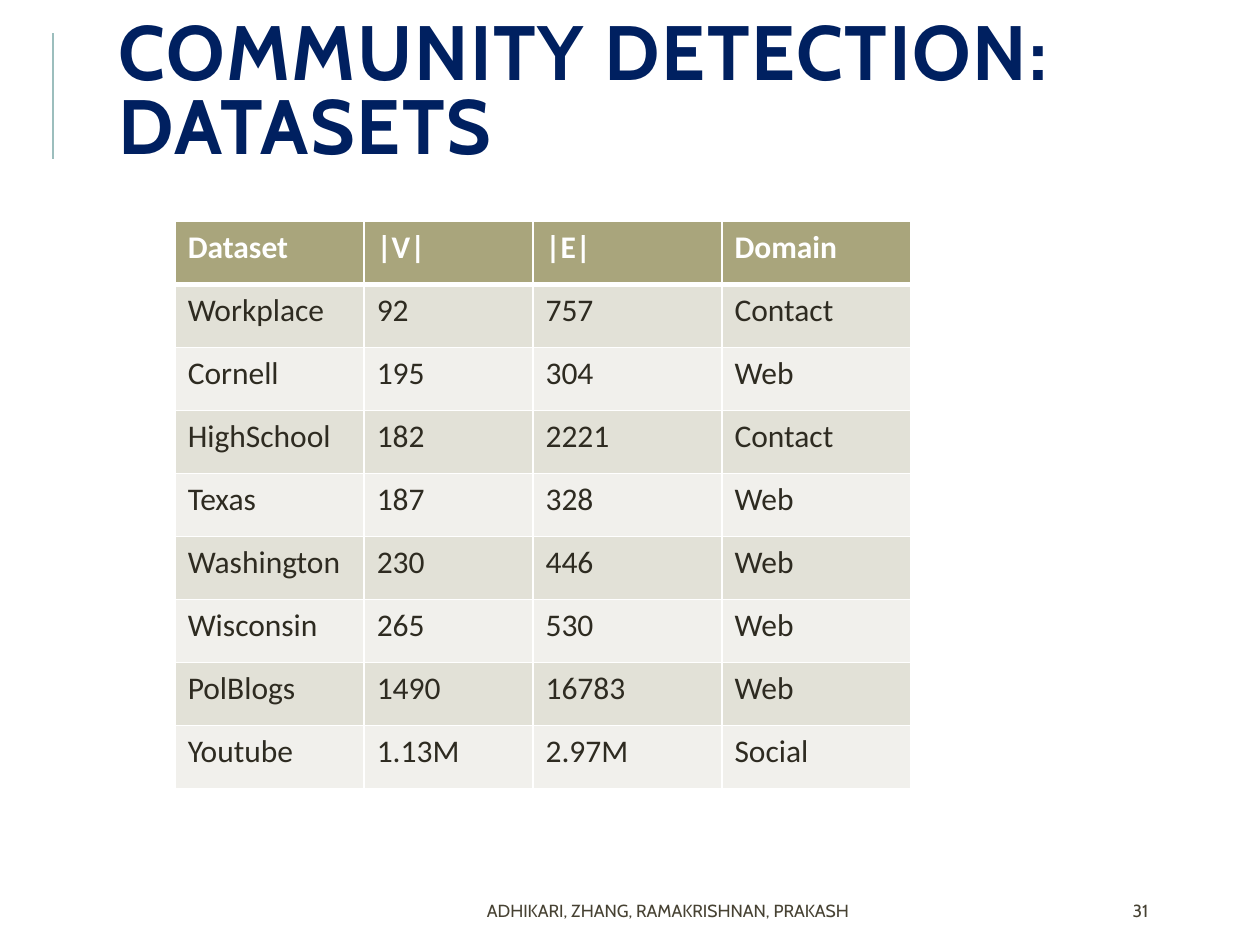
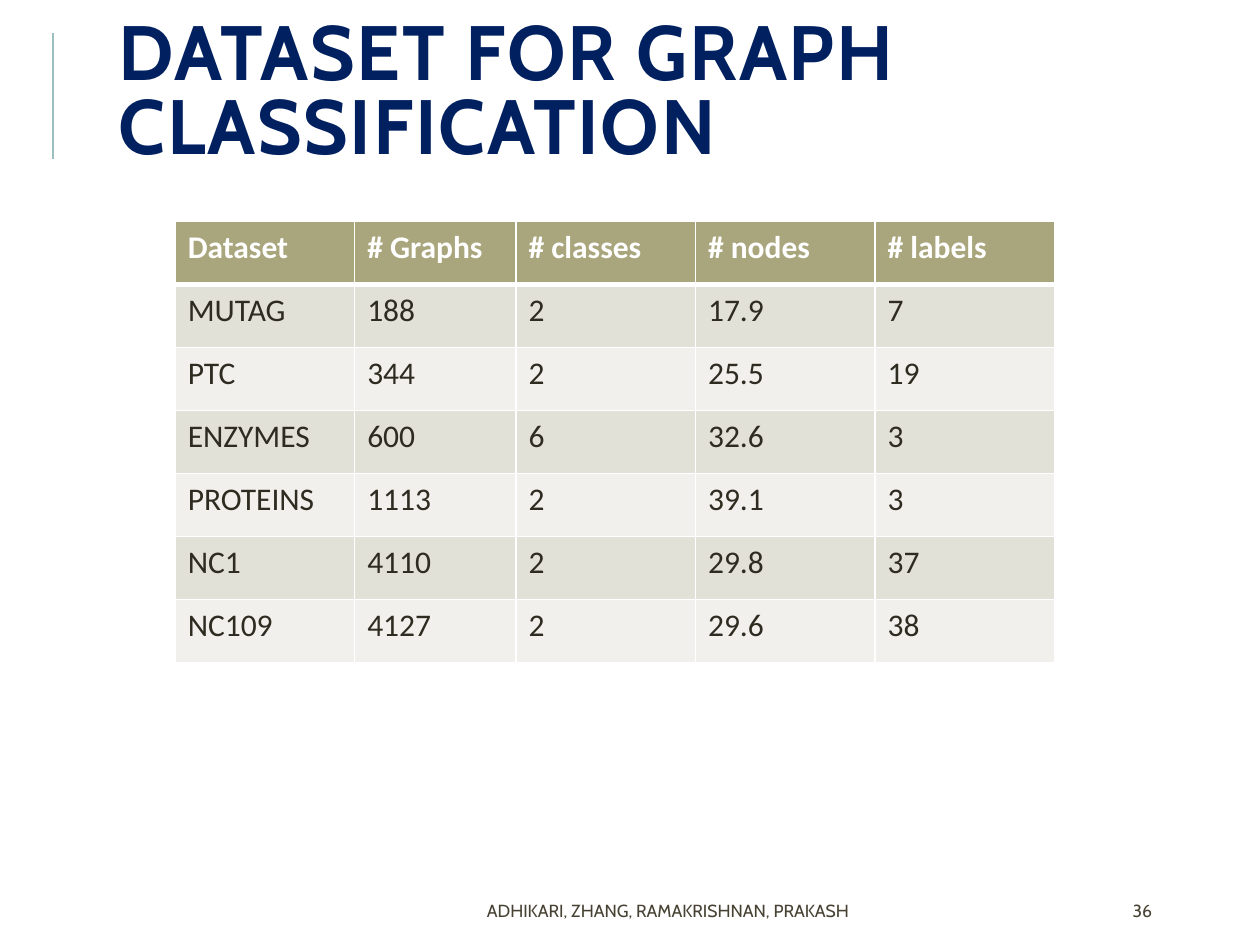
from lxml.etree import SubElement
from pptx import Presentation
from pptx.dml.color import RGBColor
from pptx.enum.shapes import MSO_CONNECTOR
from pptx.enum.text import MSO_ANCHOR, MSO_AUTO_SIZE, PP_ALIGN
from pptx.oxml.ns import qn
from pptx.util import Inches, Pt

NAVY, TEAL, WHITE = "002060", "9CBEBD", "FFFFFF"
FOOTER_BROWN, CELL_TEXT = "474233", "2E2B21"
HEADER_FILL, BAND_FILLS = "A9A57C", ("F1F0EC", "E2E1D7")
TITLE_FONT, TABLE_FONT = "Cabin", "Calibri"
FOOTER = "ADHIKARI, ZHANG, RAMAKRISHNAN, PRAKASH"

# Each entry: title, slide number, first/other column widths in grid columns, table rows.
SLIDES = [
    ("COMMUNITY DETECTION: DATASETS", "31", [15, 13.4, 15, 15], [
        ("Dataset", "|V|", "|E|", "Domain"),
        ("Workplace", "92", "757", "Contact"),
        ("Cornell", "195", "304", "Web"),
        ("HighSchool", "182", "2221", "Contact"),
        ("Texas", "187", "328", "Web"),
        ("Washington", "230", "446", "Web"),
        ("Wisconsin", "265", "530", "Web"),
        ("PolBlogs", "1490", "16783", "Web"),
        ("Youtube", "1.13M", "2.97M", "Social"),
    ]),
    ("DATASET FOR GRAPH CLASSIFICATION", "36", [14.25, 12.8, 14.25, 14.25, 14.25], [
        ("Dataset", "# Graphs", "# classes", "# nodes", "# labels"),
        ("MUTAG", "188", "2", "17.9", "7"),
        ("PTC", "344", "2", "25.5", "19"),
        ("ENZYMES", "600", "6", "32.6", "3"),
        ("PROTEINS", "1113", "2", "39.1", "3"),
        ("NC1", "4110", "2", "29.8", "37"),
        ("NC109", "4127", "2", "29.6", "38"),
    ]),
]

presentation = Presentation()
presentation.slide_width, presentation.slide_height = Inches(10), Inches(7.5)
COLUMN = presentation.slide_width // 100
ROW = presentation.slide_height // 75
TITLE_TOP, TITLE_HEIGHT = 2.6 * ROW, 10 * ROW
TABLE_ROW = 5 * ROW


def style(paragraph, font_name, size, color, bold=False):
    for run in paragraph.runs:
        run.font.name = font_name
        run.font.size = Pt(size)
        run.font.bold = bold
        run.font.color.rgb = RGBColor.from_string(color)


def set_borders(cell, top, bottom):
    """Draw white cell borders; top and bottom widths are in points."""
    properties = cell._tc.get_or_add_tcPr()
    for side, width in (("L", 1), ("R", 1), ("T", top), ("B", bottom)):
        border = SubElement(properties, qn(f"a:ln{side}"), w=str(Pt(width)))
        fill = SubElement(border, qn("a:solidFill"))
        SubElement(fill, qn("a:srgbClr"), val=WHITE)


for title_text, number, widths, rows in SLIDES:
    slide = presentation.slides.add_slide(presentation.slide_layouts[5])

    accent = slide.shapes.add_connector(
        MSO_CONNECTOR.STRAIGHT, int(4.2 * COLUMN), int(TITLE_TOP + TITLE_HEIGHT),
        int(4.2 * COLUMN), int(TITLE_TOP))
    accent.line.color.rgb = RGBColor.from_string(TEAL)
    accent.line.width = Pt(1.5)
    SubElement(accent._element.spPr, qn("a:effectLst"))

    title = slide.shapes.title
    title.left, title.top = int(8.4 * COLUMN), int(TITLE_TOP)
    title.width, title.height = int(88.5 * COLUMN), int(TITLE_HEIGHT)
    title.text_frame.text = title_text
    title.text_frame.auto_size = MSO_AUTO_SIZE.NONE
    title.text_frame.vertical_anchor = MSO_ANCHOR.MIDDLE
    paragraph = title.text_frame.paragraphs[0]
    paragraph.alignment = PP_ALIGN.LEFT
    paragraph.line_spacing = 0.8
    style(paragraph, TITLE_FONT, 44, NAVY, bold=True)
    paragraph.runs[0].font._element.set("spc", "100")

    for text, left, width, alignment in (
            (FOOTER, 28.8, 48.4, PP_ALIGN.CENTER),
            (number, 88.9, 8, PP_ALIGN.LEFT)):
        footer = slide.shapes.add_textbox(
            int(left * COLUMN), int(70.8 * ROW), int(width * COLUMN), 3 * ROW)
        footer.text_frame.word_wrap = True
        footer.text_frame.vertical_anchor = MSO_ANCHOR.MIDDLE
        footer.text_frame.text = text
        paragraph = footer.text_frame.paragraphs[0]
        paragraph.alignment = alignment
        style(paragraph, TITLE_FONT, 10, FOOTER_BROWN)

    table = slide.shapes.add_table(
        len(rows), len(widths), int(13.9 * COLUMN), int(17.6 * ROW),
        int(sum(widths) * COLUMN), len(rows) * TABLE_ROW).table
    for table_column, width in zip(table.columns, widths):
        table_column.width = int(width * COLUMN)
    for row_index, values in enumerate(rows):
        table.rows[row_index].height = TABLE_ROW
        is_header = row_index == 0
        fill_color = HEADER_FILL if is_header else BAND_FILLS[row_index % 2]
        for column_index, value in enumerate(values):
            cell = table.cell(row_index, column_index)
            cell.text_frame.text = value
            style(cell.text_frame.paragraphs[0], TABLE_FONT, 18,
                  WHITE if is_header else CELL_TEXT, bold=is_header)
            set_borders(cell, top=3 if row_index == 1 else 1,
                        bottom=3 if is_header else 1)
            cell.fill.solid()
            cell.fill.fore_color.rgb = RGBColor.from_string(fill_color)

presentation.save("out.pptx")
